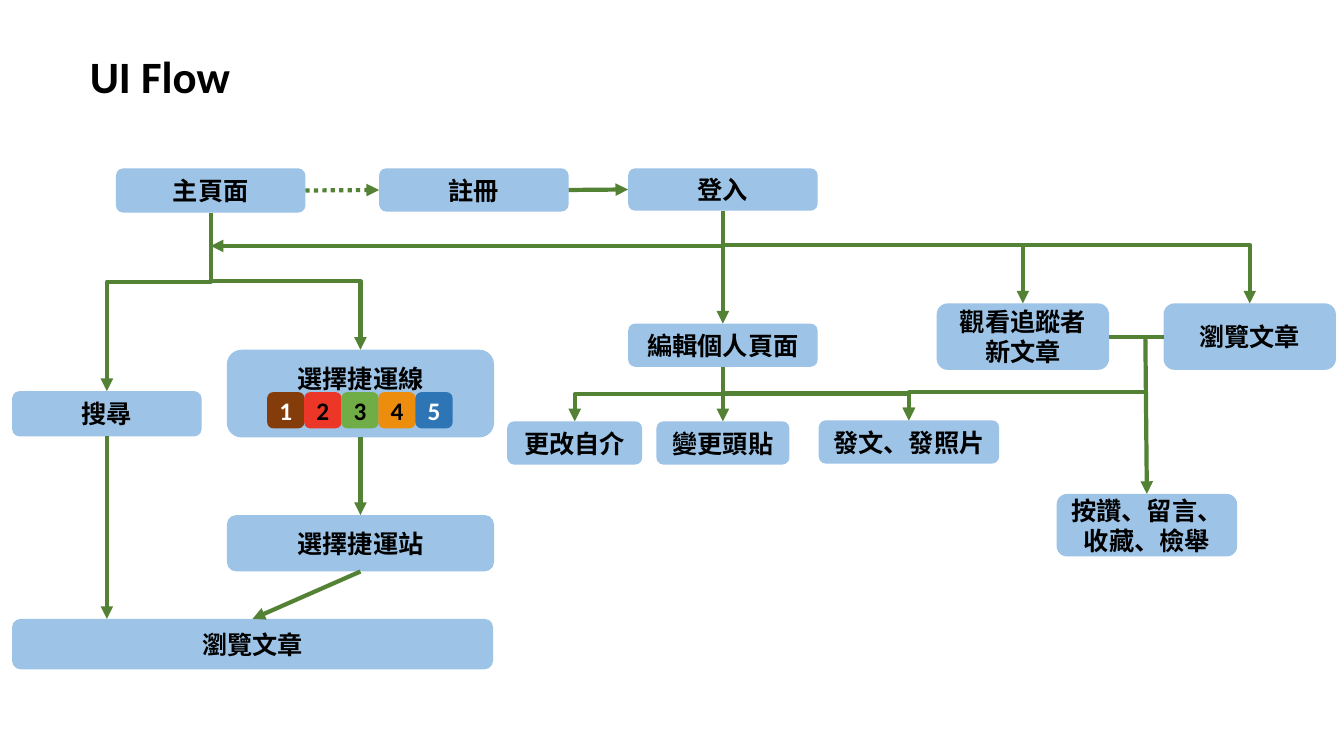
from dataclasses import dataclass

from pptx import Presentation
from pptx.dml.color import RGBColor
from pptx.enum.dml import MSO_LINE
from pptx.enum.shapes import MSO_CONNECTOR as CONN, MSO_SHAPE as SHAPE
from pptx.enum.text import MSO_ANCHOR as ANCHOR, PP_ALIGN as ALIGN
from pptx.oxml.ns import qn
from pptx.util import Inches, Pt
from lxml.etree import SubElement


@dataclass(frozen=True)
class Theme:
    font: str = "Calibri"
    box: str = "9DC3E6"
    line: str = "548235"
    dark: str = "000000"
    light: str = "FFFFFF"
    title_size: int = 32
    text_size: int = 18
    line_width: int = 3


class FlowSlide:
    def __init__(self, prs, theme):
        self.theme = theme
        self.slide = prs.slides.add_slide(prs.slide_layouts[5])
        self.shapes = self.slide.shapes

    def style_text(self, p, size, color, align):
        p.alignment = align
        p.font.name = self.theme.font
        p.font.size = Pt(size)
        p.font.bold = True
        p.font.color.rgb = RGBColor.from_string(color)

    def title(self, text, left, top, width, height):
        s = self.shapes.title
        s.left, s.top, s.width, s.height = map(Inches, (left, top, width, height))
        tf = s.text_frame
        tf.text = text
        tf.word_wrap = False
        tf.vertical_anchor = ANCHOR.MIDDLE
        self.style_text(tf.paragraphs[0], self.theme.title_size, self.theme.dark, ALIGN.LEFT)

    def box(self, text, left, top, width, height, fill=None, color=None):
        s = self.shapes.add_shape(SHAPE.ROUNDED_RECTANGLE,
                                  *map(Inches, (left, top, width, height)))
        s.shadow.inherit = False
        s.fill.solid()
        s.fill.fore_color.rgb = RGBColor.from_string(fill or self.theme.box)
        s.line.fill.background()
        tf = s.text_frame
        tf.text = text
        tf.word_wrap = True
        tf.vertical_anchor = ANCHOR.MIDDLE
        self.style_text(tf.paragraphs[0], self.theme.text_size,
                        color or self.theme.dark, ALIGN.CENTER)
        return s

    def line(self, start, end, kind=CONN.STRAIGHT, arrow=True, dotted=False):
        c = self.shapes.add_connector(kind, *map(Inches, start + end))
        c.line.color.rgb = RGBColor.from_string(self.theme.line)
        c.line.width = Pt(self.theme.line_width)
        if dotted:
            c.line.dash_style = MSO_LINE.ROUND_DOT
        if arrow:
            SubElement(c.line._get_or_add_ln(), qn("a:tailEnd"), type="triangle")
        SubElement(c._element.spPr, qn("a:effectLst"))
        return c

    def elbow(self, start, end, bends=2, down_first=True, bend_at=None):
        """Bent arrow; one that leaves downwards is a sideways one turned by 90 degrees."""
        if down_first:
            (x1, y1), (x2, y2) = start, end
            cx, cy = (x1 + x2) / 2, (y1 + y2) / 2
            half_w, half_h = (y2 - y1) / 2, (x2 - x1) / 2
            start, end = (cx - half_w, cy + half_h), (cx + half_w, cy - half_h)
        c = self.line(start, end, CONN.ELBOW)
        sp_pr = c._element.spPr
        if down_first:
            sp_pr.find(qn("a:xfrm")).set("rot", str(90 * 60000))
        geom = sp_pr.find(qn("a:prstGeom"))
        geom.set("prst", f"bentConnector{bends + 1}")
        if bend_at:
            SubElement(geom.find(qn("a:avLst")), qn("a:gd"),
                       name="adj1", fmla=f"val {round(bend_at * 100000)}")


def top(s):
    return (s.left + s.width / 2) / Inches(1), s.top / Inches(1)


def bottom(s):
    return top(s)[0], (s.top + s.height) / Inches(1)


def left(s):
    return s.left / Inches(1), (s.top + s.height / 2) / Inches(1)


def right(s):
    return (s.left + s.width) / Inches(1), left(s)[1]


def main():
    prs = Presentation()
    prs.slide_width, prs.slide_height = Inches(13.33), Inches(7.5)
    theme = Theme()
    flow = FlowSlide(prs, theme)
    flow.title("UI Flow", 0.79, 0.43, 1.61, 0.64)

    # Entry pages
    home = flow.box("主頁面", 1.15, 1.67, 1.88, 0.44)
    register = flow.box("註冊", 3.76, 1.67, 1.88, 0.43)
    login = flow.box("登入", 6.23, 1.67, 1.88, 0.42)

    # Browsing without login
    search = flow.box("搜尋", 0.12, 3.88, 1.88, 0.45)
    metro_line = flow.box("選擇捷運線", 2.25, 3.47, 2.65, 0.87)
    metro_line.text_frame.margin_bottom = Inches(0.35)
    station = flow.box("選擇捷運站", 2.25, 5.11, 2.65, 0.56)
    articles = flow.box("瀏覽文章", 0.12, 6.14, 4.77, 0.5)

    # Metro line badges
    badges = [("843C0B", theme.light), ("EC3628", theme.dark), ("70AD47", theme.dark),
              ("EC8D0E", theme.dark), ("2E75B6", theme.light)]
    for i, (fill, color) in enumerate(badges):
        flow.box(str(i + 1), 2.65 + 0.3675 * i, 3.89, 0.37, 0.36, fill, color)

    # Member pages
    profile = flow.box("編輯個人頁面", 6.23, 3.21, 1.88, 0.43)
    intro = flow.box("更改自介", 5.03, 4.18, 1.34, 0.43)
    avatar = flow.box("變更頭貼", 6.51, 4.18, 1.32, 0.43)
    post = flow.box("發文、發照片", 8.12, 4.17, 1.79, 0.43)
    followed = flow.box("觀看追蹤者新文章", 9.29, 3.01, 1.71, 0.66)
    member_articles = flow.box("瀏覽文章", 11.54, 3.01, 1.71, 0.66)
    react = flow.box("按讚、留言、收藏、檢舉", 10.48, 4.9, 1.79, 0.62)

    # Arrows between entry pages
    flow.line(right(home), left(register), dotted=True)
    flow.line(right(register), left(login))

    # Arrows on the browsing side
    flow.elbow(bottom(home), top(metro_line))
    flow.elbow(bottom(home), top(search), bend_at=0.387)
    flow.line(bottom(metro_line), top(station))
    flow.line(bottom(station), top(articles))
    flow.line(bottom(search), (top(search)[0], top(articles)[1]))

    # Arrows from login
    bus_y = 2.44
    flow.elbow(bottom(login), (bottom(home)[0], bus_y), bends=1)
    flow.line(bottom(login), top(profile))
    flow.elbow((bottom(login)[0], bus_y - 0.01), top(member_articles), bends=1, down_first=False)
    flow.line((top(followed)[0], bus_y), top(followed))

    # Arrows from profile editing
    flow.elbow(bottom(profile), top(post))
    flow.elbow(bottom(profile), top(intro))
    flow.line(bottom(profile), top(avatar))

    # Arrows from reading articles
    flow.line(right(followed), left(member_articles), arrow=False)
    flow.line((11.36, left(member_articles)[1]), top(react))
    flow.elbow((11.38, 3.89), top(post), bends=1, down_first=False)

    prs.save("out.pptx")


if __name__ == "__main__":
    main()
